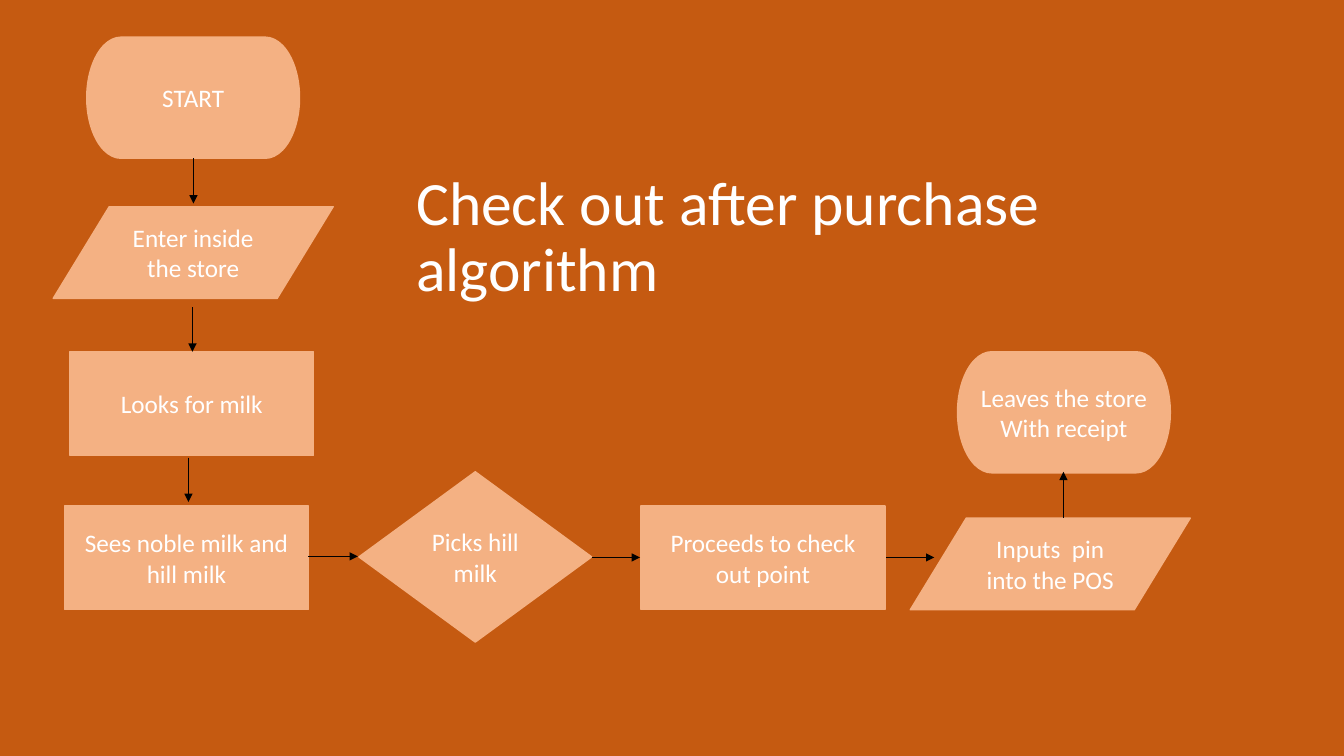
import pptx
import pptx.util
import pptx.dml.color
import pptx.enum.shapes
import pptx.enum.text
import pptx.oxml.ns
from dataclasses import dataclass
from lxml import etree

Pt = pptx.util.Pt
Color = pptx.dml.color.RGBColor.from_string
Preset = pptx.enum.shapes.MSO_SHAPE
Align = pptx.enum.text.PP_ALIGN
Anchor = pptx.enum.text.MSO_ANCHOR


@dataclass(frozen=True)
class Theme:
    background: str = "C55A11"
    step: str = "F4B183"
    text: str = "FFFFFF"
    arrow: str = "000000"
    font: str = "Calibri"
    step_size: float = 18
    title_size: float = 44


THEME = Theme()

# Each kind of step: preset, width, height
TERMINATOR = (Preset.FLOWCHART_TERMINATOR, 152, 86.5)
DATA = (Preset.FLOWCHART_DATA, 200, 65.5)
PROCESS = (Preset.RECTANGLE, 174.2, 74.2)
DECISION = (Preset.FLOWCHART_DECISION, 166.3, 121.7)

# Boxes are left, top, width, height
TITLE_BOX = (290.2, 118, 600.5, 104.4)
ENTRY_BOX = (38, 26, 200, 410)
CHECKOUT_BOX = (220, 251, 631, 208)

# Steps: kind, centre x, centre y, lines; arrows: start x, y, end x, y
ENTRY_STEPS = [
    (TERMINATOR, 100, 43.8, ["START"]),
    (DATA, 100, 154.4, ["Enter inside the store"]),
    (PROCESS, 99, 262.4, ["Looks for milk"]),
    (PROCESS, 95.2, 372.5, ["Sees noble milk and hill milk"]),
]
ENTRY_ARROWS = [
    (100.2, 87, 100.2, 119.4),
    (99.5, 193.6, 99.5, 225.3),
    (96.6, 300.9, 96.6, 332.6),
]
CHECKOUT_STEPS = [
    (DECISION, 119.5, 146.8, ["Picks hill milk"]),
    (PROCESS, 325, 147.5, ["Proceeds to check out point"]),
    (DATA, 530.2, 151.8, ["Inputs  pin into the POS"]),
    (TERMINATOR, 540, 43.5, ["Leaves the store", "With receipt"]),
]
CHECKOUT_ARROWS = [
    (0.3, 146.4, 35.6, 146.4),
    (202.6, 147.2, 237.2, 147.2),
    (412.9, 147.2, 447.4, 147.2),
    (539.6, 119, 539.6, 86),
]


def add_run(paragraph, text, size):
    run = paragraph.add_run()
    run.text = text
    run.font.name = THEME.font
    run.font.size = Pt(size)
    run.font.color.rgb = Color(THEME.text)


def add_step(slide, kind, center_x, center_y, lines):
    preset, width, height = kind
    shape = slide.shapes.add_shape(
        preset, Pt(center_x - width / 2), Pt(center_y - height / 2), Pt(width), Pt(height))
    shape.shadow.inherit = False
    shape.fill.solid()
    shape.fill.fore_color.rgb = Color(THEME.step)
    shape.line.color.rgb = Color(THEME.step)
    shape.line.width = Pt(1)
    frame = shape.text_frame
    frame.word_wrap = True
    frame.vertical_anchor = Anchor.MIDDLE
    for index, line in enumerate(lines):
        paragraph = frame.add_paragraph() if index else frame.paragraphs[0]
        paragraph.alignment = Align.CENTER
        add_run(paragraph, line, THEME.step_size)


def add_arrow(slide, *ends):
    connector = slide.shapes.add_connector(
        pptx.enum.shapes.MSO_CONNECTOR.STRAIGHT, *map(Pt, ends))
    connector.line.color.rgb = Color(THEME.arrow)
    connector.line.width = Pt(0.5)
    qualified = pptx.oxml.ns.qn
    etree.SubElement(connector.line._get_or_add_ln(), qualified("a:tailEnd"), type="triangle")
    etree.SubElement(connector._element.spPr, qualified("a:effectLst"))


def add_flow(slide, box, steps, arrows):
    """Place steps and arrows relative to the top left corner of the box."""
    left, top = box[:2]
    for kind, x, y, lines in steps:
        add_step(slide, kind, left + x, top + y, lines)
    for x1, y1, x2, y2 in arrows:
        add_arrow(slide, left + x1, top + y1, left + x2, top + y2)


def add_title(slide, box):
    frame = slide.shapes.add_textbox(*map(Pt, box)).text_frame
    frame.word_wrap = True
    frame.vertical_anchor = Anchor.MIDDLE
    paragraph = frame.paragraphs[0]
    paragraph.line_spacing = 0.9
    add_run(paragraph, "Check out after purchase", THEME.title_size)
    paragraph.add_line_break()
    add_run(paragraph, "algorithm", THEME.title_size)


def main():
    presentation = pptx.Presentation()
    presentation.slide_width = Pt(960)
    presentation.slide_height = Pt(540)
    slide = presentation.slides.add_slide(presentation.slide_layouts[6])
    slide.background.fill.solid()
    slide.background.fill.fore_color.rgb = Color(THEME.background)
    add_flow(slide, ENTRY_BOX, ENTRY_STEPS, ENTRY_ARROWS)
    add_flow(slide, CHECKOUT_BOX, CHECKOUT_STEPS, CHECKOUT_ARROWS)
    add_title(slide, TITLE_BOX)
    presentation.save("out.pptx")


if __name__ == "__main__":
    main()
